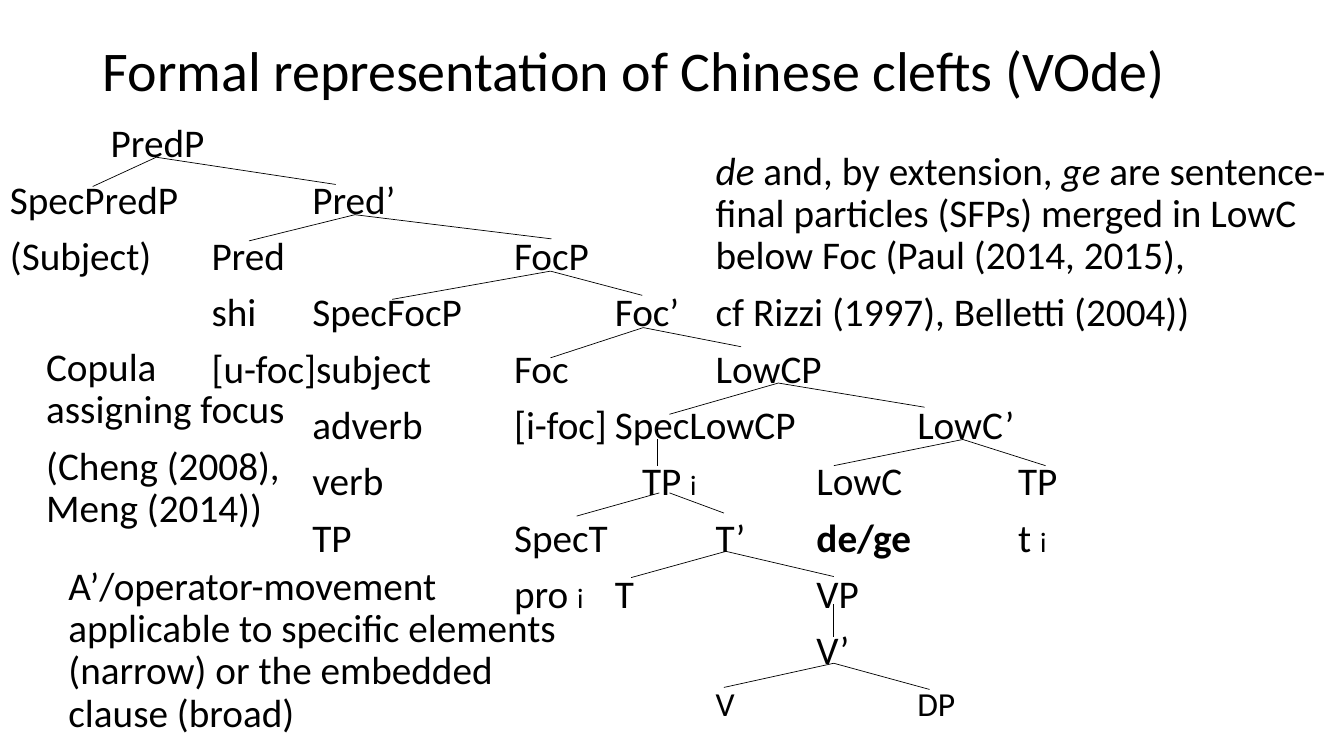
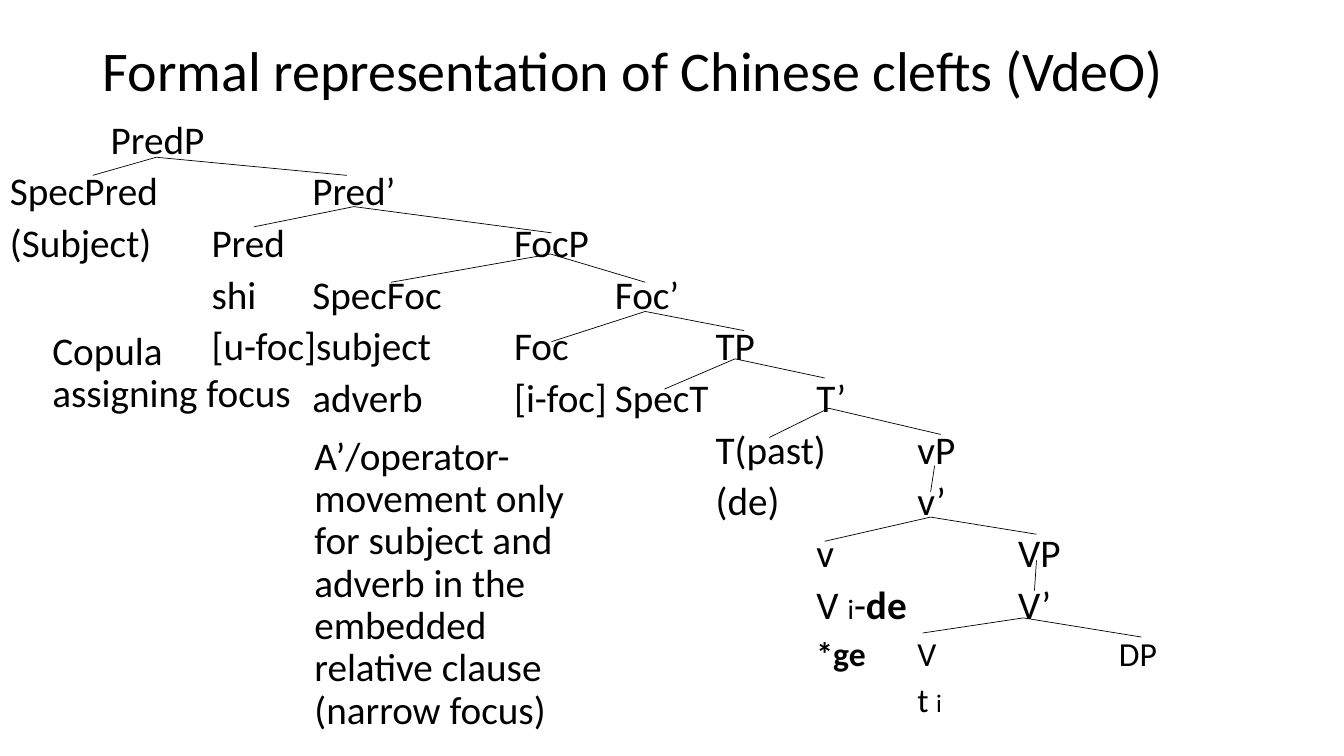
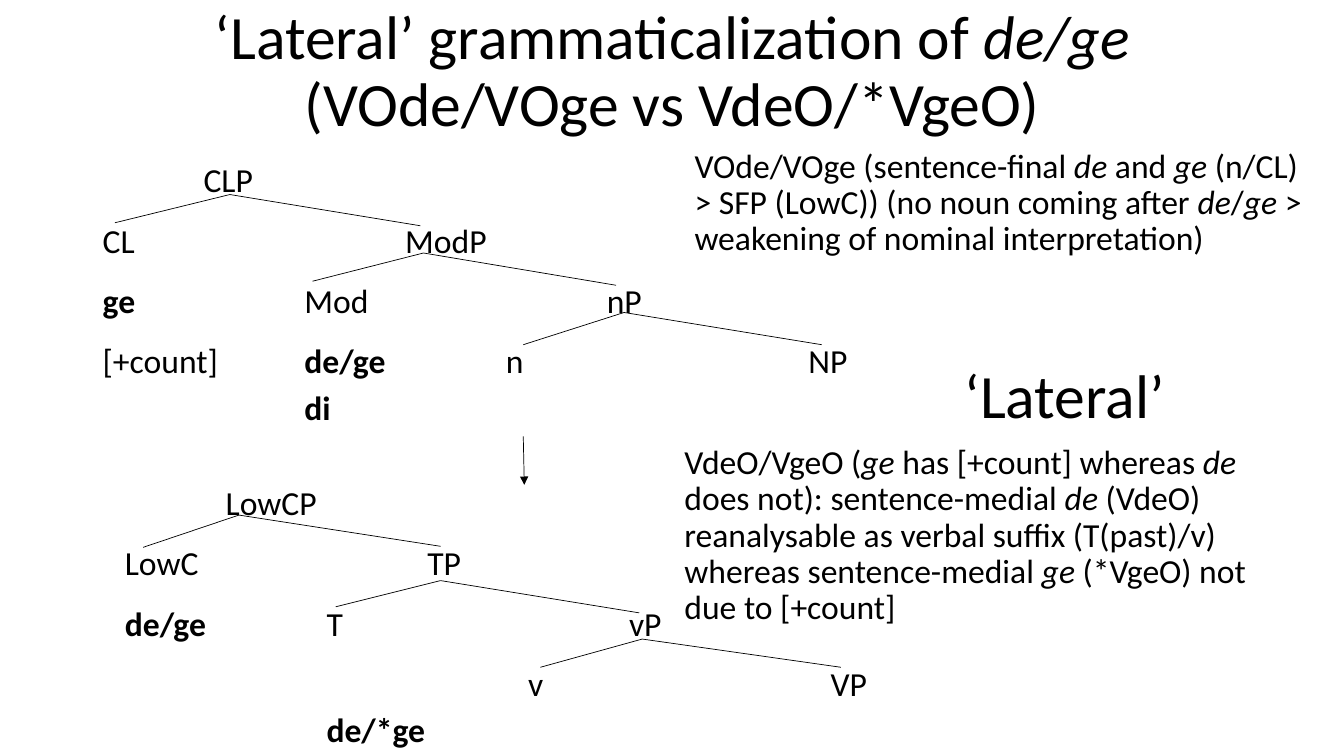
from typing import NamedTuple

from lxml import etree
from pptx import Presentation
from pptx.dml.color import RGBColor
from pptx.enum import shapes, text
from pptx.oxml import ns
from pptx.util import Inches, Pt

BLACK = RGBColor(0, 0, 0)
WHITE = RGBColor(255, 255, 255)
FONT = "Calibri"
SMALL = {28: 20, 24: 18}  # size of an index beside its host text
MARKS = {"_": "italic", "~": "bold", "^": "small"}


class Box(NamedTuple):
    x: float
    y: float
    w: float
    h: float


class Style(NamedTuple):
    size: int = 28
    lead: float = 0.9
    before: int = 10
    after: int = 0


class Row(NamedTuple):
    """One line of a tree: text by tab column, in inches."""
    cells: dict
    size: int = 28
    after: int = 10


class Fork(NamedTuple):
    """Branches from one node down to the ends."""
    x: float
    y: float
    ends: tuple


class Note(NamedTuple):
    box: Box
    lines: tuple
    style: Style = Style()


TITLE = Box(0.92, 0, 11.5, 1.45)
BODY = Box(0, 1.18, 13.33, 6.32)
BIG = Style(24, 1.15, 0, 10)
MID = Style(24)


# Text
def fill(para, words: str, style: Style) -> None:
    """Write marked-up words: _italic_, ~bold~, ^small^."""
    para.line_spacing = style.lead
    para.space_before, para.space_after = Pt(style.before), Pt(style.after)
    on, part = set(), ""

    def flush() -> None:
        if part:
            run = para.add_run()
            run.text = part
            font = run.font
            font.name, font.color.rgb = FONT, BLACK
            font.size = Pt(SMALL[style.size] if "small" in on else style.size)
            font.italic, font.bold = "italic" in on, "bold" in on

    for char in words:
        if char in MARKS:
            flush()
            on ^= {MARKS[char]}
            part = ""
        else:
            part += char
    flush()


def frame(slide, box: Box):
    area = slide.shapes.add_textbox(*map(Inches, box)).text_frame
    area.word_wrap = True
    return area


def paras(area, count: int) -> list:
    return [area.paragraphs[0]] + [area.add_paragraph() for _ in range(count - 1)]


def note(slide, item: Note) -> None:
    area = frame(slide, item.box)
    for para, words in zip(paras(area, len(item.lines)), item.lines):
        fill(para, words, item.style)


def title(slide, words: str, size: int = 40, align=text.PP_ALIGN.LEFT) -> None:
    area = frame(slide, TITLE)
    area.vertical_anchor = text.MSO_ANCHOR.MIDDLE
    area.paragraphs[0].alignment = align
    fill(area.paragraphs[0], words, Style(size, before=0))


# Trees
def tree(slide, box: Box, rows: list, style: Style) -> None:
    area = frame(slide, box)
    for para, row in zip(paras(area, len(rows)), rows):
        words = "".join(("\t" if col else "") + cell
                        for col, cell in row.cells.items())
        after = min(row.after, style.after)
        fill(para, words, style._replace(size=row.size, after=after))
        tabs = etree.SubElement(para._p.get_or_add_pPr(), ns.qn("a:tabLst"))
        for col in filter(None, row.cells):
            etree.SubElement(tabs, ns.qn("a:tab"), pos=str(Inches(col)), algn="l")


def line(slide, x: float, y: float, end: tuple, arrow: bool = False) -> None:
    link = slide.shapes.add_connector(
        shapes.MSO_CONNECTOR.STRAIGHT, *map(Inches, (x, y, *end)))
    link.line.color.rgb, link.line.width = BLACK, Pt(0.5)
    props = link._element.spPr
    if arrow:
        etree.SubElement(props.find(ns.qn("a:ln")), ns.qn("a:tailEnd"),
                         type="triangle")
    etree.SubElement(props, ns.qn("a:effectLst"))


def forks(slide, items: list) -> None:
    for item in items:
        for end in item.ends:
            line(slide, item.x, item.y, end)


# Clefts with the object before the particle
ROWS_VO = [
    Row({1: "PredP"}),
    Row({0: "SpecPredP", 3: "Pred’"}),
    Row({0: "(Subject)", 2: "Pred", 5: "FocP"}),
    Row({2: "shi", 3: "SpecFocP", 6: "Foc’"}),
    Row({2: "[u-foc]subject", 5: "Foc", 7: "LowCP"}),
    Row({3: "adverb", 5: "[i-foc]", 6: "SpecLowCP", 9: "LowC’"}),
    Row({3: "verb", 6.27: "TP ^i^", 8: "LowC", 10: "TP"}),
    Row({3: "TP", 5: "SpecT", 7: "T’", 8: "~de/ge~", 10: "t ^i^"}),
    Row({5: "pro ^i^", 6: "T", 8: "VP"}),
    Row({8: "V’"}),
    Row({7: "V", 9: "DP"}, 24),
]
FORKS_VO = [
    Fork(1.55, 1.56, ((0.92, 1.85), (3.33, 1.83))),
    Fork(3.52, 2.13, ((2.47, 2.39), (5.47, 2.37))),
    Fork(5.46, 2.69, ((3.89, 2.97), (6.37, 2.93))),
    Fork(6.38, 3.25, ((5.46, 3.55), (7.35, 3.44))),
    Fork(7.72, 3.8, ((6.64, 4.11), (9.17, 4.04))),
    Fork(9.55, 4.36, ((8.27, 4.62), (10.37, 4.62))),
    Fork(6.52, 4.36, ((6.52, 4.62),)),
    Fork(6.54, 4.89, ((5.72, 5.12),)),
    Fork(6.64, 4.89, ((7.18, 5.09),)),
    Fork(7.2, 5.47, ((6.26, 5.73), (8.27, 5.72))),
    Fork(8.27, 5.99, ((8.27, 6.32),)),
    Fork(8.27, 6.58, ((7.18, 6.82), (9.22, 6.84))),
]
NOTES_VO = [
    Note(Box(0.36, 3.4, 2.6, 2.3),
         ("Copula assigning focus", "(Cheng (2008), Meng (2014))")),
    Note(Box(0.58, 5.57, 5.22, 2.3),
         ("A’/operator-movement applicable to specific elements (narrow) "
          "or the embedded clause (broad)",)),
    Note(Box(7, 1.45, 6.34, 3.48),
         ("_de_ and, by extension, _ge_ are sentence-final particles (SFPs) "
          "merged in LowC below Foc (Paul (2014, 2015),",
          "cf Rizzi (1997), Belletti (2004))")),
]

# Clefts with the particle before the object
ROWS_DE = [
    Row({1: "PredP"}),
    Row({0: "SpecPred", 3: "Pred’"}),
    Row({0: "(Subject)", 2: "Pred", 5: "FocP"}),
    Row({2: "shi", 3: "SpecFoc", 6: "Foc’"}),
    Row({2: "[u-foc]subject", 5: "Foc", 7: "TP"}),
    Row({3: "adverb", 5: "[i-foc]", 6: "SpecT", 8: "T’"}),
    Row({7: "T(past)", 9: "vP"}),
    Row({7: "(de)", 9: "v’"}),
    Row({8: "v", 10: "VP"}),
    Row({8: "V ^i^-~de~", 10: "V’"}),
    Row({8: "~*ge~", 9: "V", 11: "DP"}, 24),
    Row({9: "t ^i^"}, 24),
]
FORKS_DE = [
    Fork(1.55, 1.56, ((0.92, 1.74), (3.44, 1.74))),
    Fork(3.51, 2.05, ((2.52, 2.25), (5.47, 2.31))),
    Fork(5.46, 2.52, ((3.88, 2.8), (6.4, 2.8))),
    Fork(6.4, 3.09, ((5.47, 3.39), (7.38, 3.28))),
    Fork(7.29, 3.56, ((6.59, 3.86), (8.18, 3.75))),
    Fork(8.22, 4.05, ((7.63, 4.34), (9.33, 4.31))),
    Fork(9.27, 4.62, ((9.23, 4.88),)),
    Fork(9.23, 5.13, ((8.18, 5.37), (10.28, 5.3))),
    Fork(10.28, 5.56, ((10.26, 5.86),)),
    Fork(10.15, 6.13, ((9.15, 6.28), (11.32, 6.32))),
]
NOTES_DE = [
    Note(Box(0.42, 3.24, 2.69, 2.3), ("Copula assigning focus",)),
    Note(Box(3.02, 4.28, 2.69, 3.1),
         ("A’/operator-movement only for subject and adverb in the embedded "
          "relative clause (narrow focus)",)),
]

# Nominal tree above, clausal tree below
ROWS_CL = [
    Row({1: "CLP"}, 24),
    Row({0: "CL", 3: "ModP"}, 24),
    Row({0: "~ge~", 2: "Mod", 5: "nP"}, 24),
    Row({0: "[+count]", 2: "~de/ge~", 4: "n", 7: "NP"}, 24, 0),
    Row({2: "~di~"}, 24),
]
ROWS_LOW = [
    Row({1: "LowCP"}, 24),
    Row({0: "LowC", 3: "TP"}, 24),
    Row({0: "~de/ge~", 2: "T", 5: "vP"}, 24),
    Row({4: "v", 7: "VP"}, 24, 0),
    Row({2: "~de/*ge~"}, 24),
]
FORKS_LAT = [
    Fork(2.28, 1.93, ((1.14, 2.21), (4.17, 2.24))),
    Fork(4.2, 2.51, ((3.1, 2.79), (6.11, 2.83))),
    Fork(6.19, 3.1, ((5.19, 3.42), (8.15, 3.42))),
    Fork(2.37, 5.11, ((1.42, 5.43), (4.37, 5.42))),
    Fork(4.37, 5.76, ((3.33, 6.02), (6.34, 6.08))),
    Fork(6.37, 6.34, ((5.36, 6.62), (8.34, 6.62))),
]
NOTES_LAT = [
    Note(Box(9.47, 3.49, 3.42, 0.84), ("‘Lateral’",), Style(44, 1.0, 0)),
    Note(Box(6.79, 1.43, 6.39, 4.76),
         ("VOde/VOge (sentence-final _de_ and _ge_ (n/CL) > SFP (LowC)) "
          "(no noun coming after _de_/_ge_ > weakening of nominal "
          "interpretation)",), MID),
    Note(Box(6.69, 4.37, 5.94, 4.76),
         ("VdeO/VgeO (_ge_ has [+count] whereas _de_ does not): "
          "sentence-medial _de _(VdeO) reanalysable as verbal suffix "
          "(T(past)/v) whereas sentence-medial _ge _(*VgeO) not due to "
          "[+count]",), MID),
]


def page(deck):
    slide = deck.slides.add_slide(deck.slide_layouts[6])
    slide.background.fill.solid()
    slide.background.fill.fore_color.rgb = WHITE
    return slide


def main() -> None:
    deck = Presentation()
    deck.slide_width, deck.slide_height = Inches(13.33), Inches(7.5)

    # Two cleft slides
    clefts = (("VOde", ROWS_VO, 0.9, FORKS_VO, NOTES_VO),
              ("VdeO", ROWS_DE, 0.8, FORKS_DE, NOTES_DE))
    for kind, rows, lead, links, notes in clefts:
        slide = page(deck)
        title(slide, f"Formal representation of Chinese clefts ({kind})")
        tree(slide, BODY, rows, Style(lead=lead))
        forks(slide, links)
        for item in notes:
            note(slide, item)

    # Change from nominal to clausal tree
    slide = page(deck)
    title(slide, "‘Lateral’ grammaticalization of _de/ge _(VOde/VOge vs VdeO/*VgeO)",
          44, text.PP_ALIGN.CENTER)
    tree(slide, Box(0.92, 1.47, 12.19, 2.84), ROWS_CL, BIG)
    tree(slide, Box(1.14, 4.67, 12.19, 2.84), ROWS_LOW, BIG)
    line(slide, 5.19, 4.33, (5.2, 4.81), arrow=True)
    forks(slide, FORKS_LAT)
    for item in NOTES_LAT:
        note(slide, item)

    deck.save("out.pptx")


if __name__ == "__main__":
    main()
